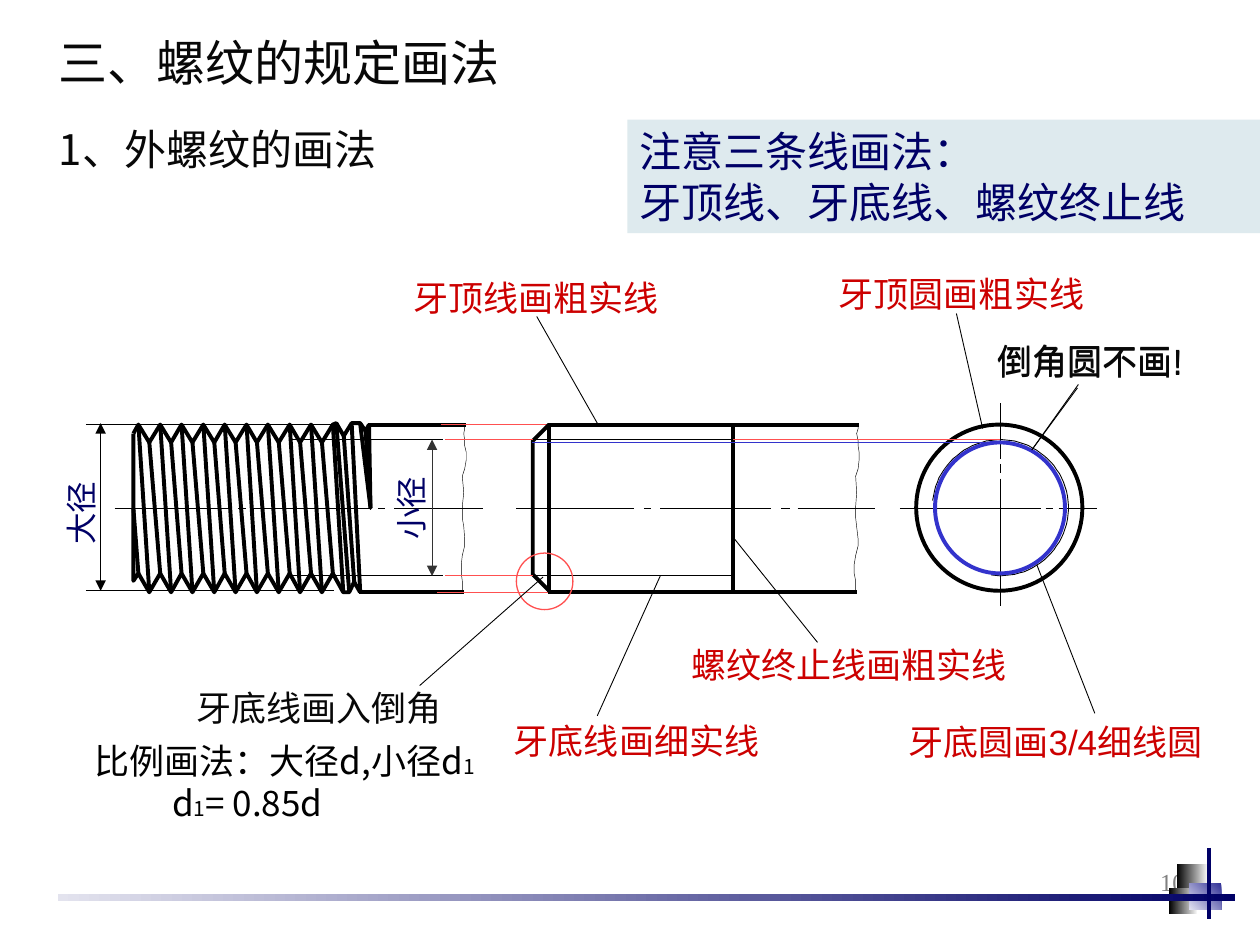
import math
from lxml import etree
from pptx import Presentation
from pptx.dml.color import RGBColor
from pptx.enum import shapes, text
from pptx.oxml.ns import qn
from pptx import util as u

INK = {"black": "000000", "soft": "080808", "gray": "808080", "dark": "333333",
       "navy": "000066", "blue": "3333CC", "red": "CC0000", "rose": "FF5050",
       "pale": "DEEAEE", "mist": "E3E3EE", "white": "F2F2F2", "snow": "F6F6F6",
       "plum": "333399", "haze": "E3E3F1"}
NOTO, ARIAL, TIMES = "Noto Sans CJK SC", "Arial", "Times New Roman"
THIN, THICK = 0.5, 2.25


def size(inch):
    return u.Cm(round(inch * 2.54, 2))


def tint(name):
    return RGBColor.from_string(INK[name])


class Board:
    def __init__(self, deck):
        self.slide = deck.slides.add_slide(deck.slide_layouts[6])
        self.items = self.slide.shapes

    def pen(self, item, color, width):
        item.line.color.rgb = tint(color)
        item.line.width = u.Pt(width)

    def words(self, frame, rows, color, font, align=text.PP_ALIGN.LEFT):
        frame.word_wrap = True
        frame.auto_size = text.MSO_AUTO_SIZE.SHAPE_TO_FIT_TEXT
        for n, row in enumerate(rows):
            para = frame.paragraphs[0] if n == 0 else frame.add_paragraph()
            para.alignment = align
            for part, points in row:
                run = para.add_run()
                run.text = part
                run.font.size = u.Pt(points)
                run.font.name = font
                run.font.color.rgb = tint(color)
                east = etree.SubElement(run._r.get_or_add_rPr(), qn("a:ea"))
                east.set("typeface", NOTO)

    def label(self, box, rows, color, font, turn=0, **more):
        item = self.items.add_textbox(*map(size, box))
        item.rotation = turn
        self.words(item.text_frame, rows, color, font, **more)
        return item.text_frame

    def line(self, x1, y1, x2, y2, color="black", width=THIN, arrows=False):
        item = self.items.add_connector(
            shapes.MSO_CONNECTOR.STRAIGHT, *map(size, (x1, y1, x2, y2)))
        self.pen(item, color, width)
        if arrows:
            stroke = item._element.spPr.find(qn("a:ln"))
            for end in ("a:headEnd", "a:tailEnd"):
                etree.SubElement(stroke, qn(end)).set("type", "triangle")
        etree.SubElement(item._element.spPr, qn("a:effectLst"))

    def shape(self, kind, box):
        item = self.items.add_shape(kind, *map(size, box))
        item.shadow.inherit = False
        return item

    def ring(self, box, color, width):
        item = self.shape(shapes.MSO_SHAPE.OVAL, box)
        item.fill.background()
        self.pen(item, color, width)

    def fade(self, box, first, last, angle=0):
        item = self.shape(shapes.MSO_SHAPE.RECTANGLE, box)
        item.line.fill.background()
        item.fill.gradient()
        item.fill.gradient_angle = angle
        for stop, name in zip(item.fill.gradient_stops, (first, last)):
            stop.color.rgb = tint(name)

    def banner(self, box, rows):
        item = self.shape(shapes.MSO_SHAPE.RECTANGLE, box)
        item.fill.solid()
        item.fill.fore_color.rgb = tint("pale")
        item.line.fill.background()
        self.words(item.text_frame, rows, "navy", NOTO)

    def curve(self, points, width):
        spots = [(size(x), size(y)) for x, y in points]
        trace = self.items.build_freeform(*spots[0])
        trace.add_line_segments(spots[1:], close=False)
        item = trace.convert_to_shape()
        item.shadow.inherit = False
        item.fill.background()
        self.pen(item, "black", width)


def heads(board):
    board.label((7.17, 6.83, 2.33, 0.52), [[("10", 14)]], "gray", TIMES,
                align=text.PP_ALIGN.RIGHT)
    board.label((0.37, 0.21, 5.24, 0.57), [[("三、螺纹的规定画法", 28)]], "soft", NOTO)
    board.label((0.37, 0.93, 4.25, 0.5), [[("1、外螺纹的画法", 24)]], "soft", NOTO)
    board.fade((9.34, 6.86, 0.24, 0.19), "black", "white")
    board.fade((9.28, 7.05, 0.22, 0.2), "black", "snow")
    board.fade((9.44, 7.01, 0.25, 0.21), "plum", "haze", 225)
    board.fade((0.46, 7.1, 9.34, 0.05), "mist", "navy")
    board.line(9.6, 6.73, 9.6, 7.29, "navy", THICK)
    board.banner((4.98, 0.95, 5.21, 0.9),
                 [[("注意三条线画法：", 24)], [("牙顶线、牙底线、螺纹终止线", 24)]])


def thread(board):
    xs = [1.1 + 1.54 * n / 18 for n in range(20)]
    tops = [(x, 3.51 if n % 2 else 3.37) for n, x in enumerate(xs)]
    lows = [(x, 4.7 if n % 2 else 4.55) for n, x in enumerate(xs)]
    board.curve([(1.06, 3.44), *tops[:19], (2.67, 3.36), (2.73, 3.46),
                 (2.79, 3.36), (2.86, 3.36), (2.9, 3.42), (2.93, 3.37)], THICK)
    board.curve([(1.06, 3.44), (1.06, 4.61), *lows, (2.77, 4.7),
                 (2.81, 4.62), (2.86, 4.7)], THICK)
    board.curve([(2.93, 3.37), (2.94, 4.03), (2.86, 3.36)], THICK)
    for top, low in zip(tops, lows[1:]):
        board.line(*top, *low, width=THICK)
    for ends in ((2.67, 3.36, 2.77, 4.7), (2.73, 3.46, 2.81, 4.62),
                 (2.79, 3.37, 2.86, 4.69), (2.9, 3.42, 2.94, 4.03),
                 (1.06, 4.04, 1.1, 4.55), (2.92, 3.37, 3.7, 3.37),
                 (2.85, 4.7, 3.68, 4.7)):
        board.line(*ends, width=THICK)


def views(board):
    wave = [(3.69, 3.36), (3.69, 3.4), (3.68, 3.44), (3.69, 3.5), (3.69, 3.54),
            (3.7, 3.59), (3.7, 3.65), (3.69, 3.72), (3.67, 3.78), (3.68, 3.91),
            (3.67, 4.02), (3.67, 4.11), (3.68, 4.18), (3.69, 4.28), (3.69, 4.33),
            (3.67, 4.41), (3.66, 4.48), (3.66, 4.55), (3.67, 4.61), (3.67, 4.69)]
    for shift in (0, 3.12):
        board.curve([(x + shift, y) for x, y in wave], 0.25)
    for y, x1, x2 in ((3.37, 3.5, 4.36), (4.7, 3.47, 4.37)):
        board.line(x1, y, x2, y, "rose")
    for ends in ((5.82, 3.37, 5.82, 4.69), (4.36, 3.37, 4.36, 4.7),
                 (4.35, 4.7, 6.8, 4.7), (4.35, 3.37, 6.82, 3.37)):
        board.line(*ends, width=THICK)
    board.curve([(4.36, 3.37), (4.23, 3.5), (4.23, 4.56), (4.36, 4.69)], THICK)
    for x1, x2 in ((0.91, 1.82), (1.89, 1.95), (2, 2.94), (3, 3.06), (3.13, 3.83),
                   (4.1, 5.03), (5.11, 5.17), (5.24, 6.12), (6.2, 6.27),
                   (6.33, 6.94), (7.14, 8.26), (8.3, 8.36), (8.4, 8.71)):
        board.line(x1, 4.03, x2, 4.03)
    board.ring((7.27, 3.37, 1.32, 1.32), "black", THICK)
    turns = [math.radians(a) for a in range(186, 459, 4)]
    board.curve([(7.94 + 0.54 * math.cos(a), 4.03 + 0.54 * math.sin(a))
                 for a in turns], THIN)


def sizes(board):
    for y in (3.49, 4.57):
        board.line(2.3, y, 3.52, y)
        board.line(3.53, y, 4.3, y, "rose")
        board.line(4.23, y, 5.82, y)
    for y in (3.37, 4.69):
        board.line(0.68, y, 2.65, y)
    board.line(3.43, 4.57, 3.43, 3.49, "dark", arrows=True)
    board.line(0.8, 4.69, 0.8, 3.36, arrows=True)
    board.label((2.81, 3.73, 0.9, 0.4), [[("小径", 18)]], "navy", TIMES, 270)
    board.label((0.25, 3.83, 0.78, 0.4), [[("大径", 18)]], "navy", TIMES, 270)
    board.line(4.22, 3.51, 7.91, 3.51, "blue")
    board.line(5.82, 3.49, 7.94, 3.49, "rose")
    for y1, y2 in ((3.2, 3.64), (3.68, 3.75), (3.8, 4.81)):
        board.line(7.94, y1, 7.94, y2)
    board.ring((4.1, 4.39, 0.45, 0.45), "rose", 0.75)
    board.ring((7.42, 3.51, 1.03, 1.04), "blue", THICK)


def notes(board):
    for words, color, left, top, wide, ends in (
            ("牙底圆画3/4细线圆", "red", 7.11, 5.67, 2.73, (8.23, 4.48, 8.69, 5.66)),
            ("牙底线画入倒角", "soft", 1.46, 5.4, 2.44, (4.31, 4.58, 3.33, 5.44)),
            ("牙顶线画粗实线", "red", 3.18, 2.14, 2.65, (4.26, 2.51, 4.74, 3.36)),
            ("牙顶圆画粗实线", "red", 6.56, 2.11, 2.43, (7.8, 3.4, 7.59, 2.49)),
            ("牙底线画细实线", "red", 3.98, 5.66, 2.47, (5.24, 4.57, 4.74, 5.68)),
            ("螺纹终止线画粗实线", "red", 5.39, 5.06, 3.88, (5.83, 4.28, 6.49, 5.1)),
            ("倒角圆不画!", "soft", 7.82, 2.65, 1.85, (8.55, 3.08, 8.19, 3.57)),
            ("倒角圆不画!", "soft", 7.82, 2.64, 1.85, (8.56, 3.05, 8.19, 3.57))):
        board.label((left, top, wide, 0.43), [[(words, 20)]], color, ARIAL)
        board.line(*ends)
    frame = board.label((0.65, 5.82, 3.36, 0.77),
                        [[("比例画法：大径d,小径d", 20), ("1", 12)],
                         [("d", 20), ("1", 12), ("= 0.85d", 20)]], "black", NOTO)
    frame.paragraphs[1]._p.get_or_add_pPr().set("marL", str(size(0.62)))


def main():
    deck = Presentation()
    deck.slide_width, deck.slide_height = u.Cm(25.4), u.Cm(19.05)
    board = Board(deck)
    for part in (heads, thread, views, sizes, notes):
        part(board)
    deck.save("out.pptx")


if __name__ == "__main__":
    main()
